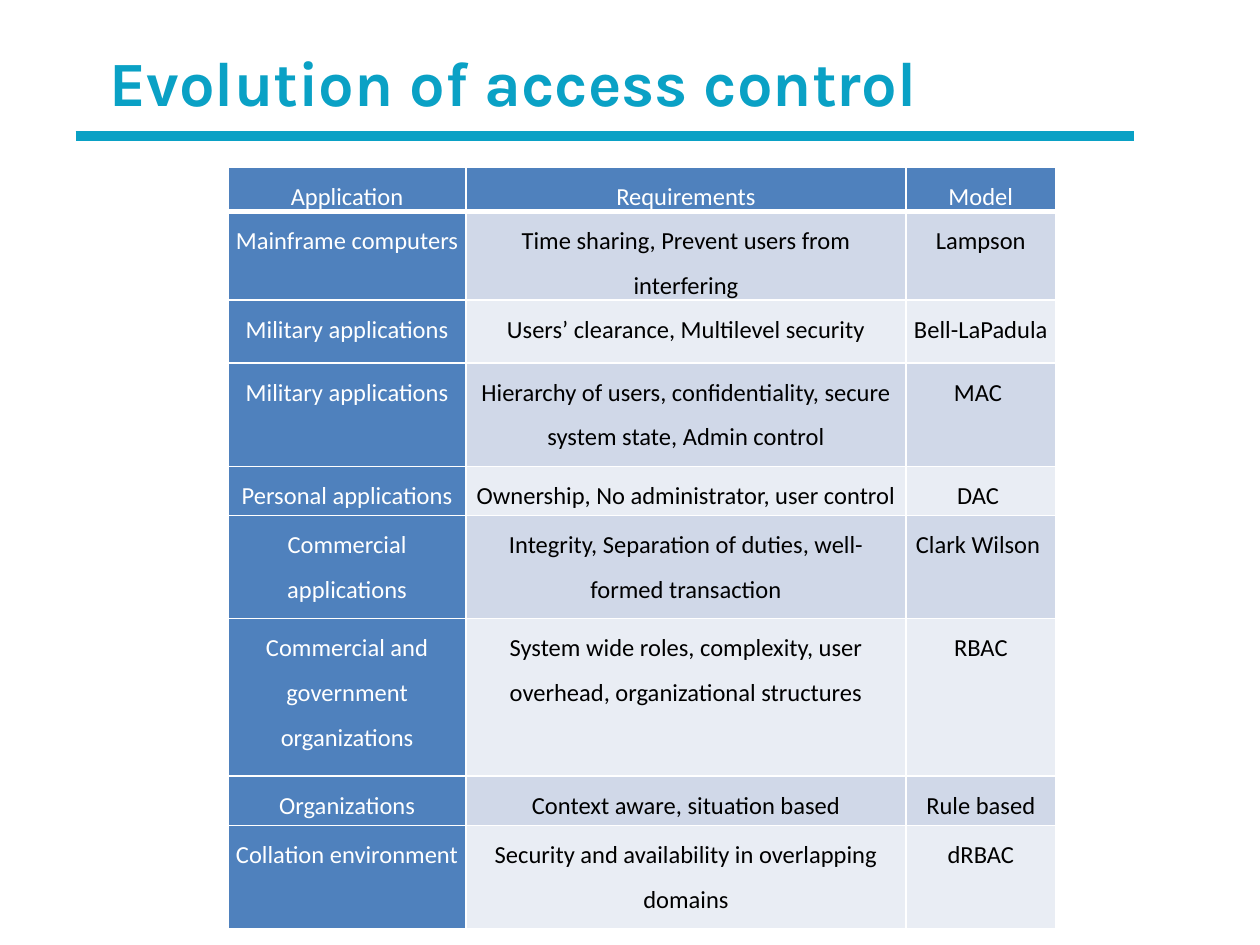
from pptx import Presentation
from pptx.dml.color import RGBColor
from pptx.enum.shapes import MSO_CONNECTOR
from pptx.enum.text import MSO_ANCHOR, PP_ALIGN
from pptx.util import Inches, Pt
from lxml import etree

STRAIGHT = MSO_CONNECTOR.STRAIGHT
MIDDLE = MSO_ANCHOR.MIDDLE
CENTER = PP_ALIGN.CENTER
NS = "http://schemas.openxmlformats.org/drawingml/2006/main"


def rgb(value):
    return RGBColor.from_string(value)


def sub(parent, tag, **attrs):
    return etree.SubElement(parent, f"{{{NS}}}{tag}", **attrs)


class Deck:
    ACCENT = "0AA1C5"
    HEAD = "4F81BD"
    BANDS = ("E9EDF4", "D0D8E8")
    WHITE = "FFFFFF"
    BLACK = "000000"

    def __init__(self, prs):
        self.s = prs.slides.add_slide(prs.slide_layouts[6])

    def style(self, p, text, font, size, color, bold=False):
        p.text = text
        p.font.name = font
        p.font.size = Pt(size)
        p.font.bold = bold
        p.font.color.rgb = rgb(color)

    def rule(self, x1, x2, y, width):
        line = self.s.shapes.add_connector(
            STRAIGHT, Inches(x1), Inches(y), Inches(x2), Inches(y))
        line.line.color.rgb = rgb(self.ACCENT)
        line.line.width = Pt(width)
        sub(line._element.spPr, "effectLst")

    def title(self, text, x, y, w, h):
        sp = self.s.shapes.add_textbox(Inches(x), Inches(y), Inches(w), Inches(h))
        tf = sp.text_frame
        tf.word_wrap = True
        tf.vertical_anchor = MIDDLE
        tf.margin_left = Inches(0.2)
        self.style(tf.paragraphs[0], text, "Karla", 36, self.ACCENT, True)

    def borders(self, cell, bottom):
        tcPr = cell._tc.get_or_add_tcPr()
        for side, width in (("lnL", 1), ("lnR", 1), ("lnT", 1), ("lnB", bottom)):
            ln = sub(tcPr, side, w=str(Pt(width)))
            sub(sub(ln, "solidFill"), "srgbClr", val=self.WHITE)

    def cell(self, cell, text, row, col):
        head = row == 0 or col == 0
        cell.margin_left = cell.margin_right = Inches(0.06)
        cell.margin_top = cell.margin_bottom = 0
        self.borders(cell, 3 if row == 0 else 1)
        cell.fill.solid()
        cell.fill.fore_color.rgb = rgb(self.HEAD if head else self.BANDS[row % 2])
        p = cell.text_frame.paragraphs[0]
        p.alignment = CENTER
        p.line_spacing = 1.5
        self.style(p, text, "Calibri", 14, self.WHITE if head else self.BLACK)

    def table(self, rows, x, y, widths, heights):
        frame = self.s.shapes.add_table(
            len(rows), len(widths), Inches(x), Inches(y),
            Inches(sum(widths)), Inches(sum(heights)))
        table = frame.table
        for column, width in zip(table.columns, widths):
            column.width = Inches(width)
        for r, (values, height) in enumerate(zip(rows, heights)):
            table.rows[r].height = Inches(height)
            for c, text in enumerate(values):
                self.cell(table.cell(r, c), text, r, c)


MODELS = [
    ("Application", "Requirements", "Model"),
    ("Mainframe computers", "Time sharing, Prevent users from interfering", "Lampson"),
    ("Military applications", "Users’ clearance, Multilevel security", "Bell-LaPadula "),
    ("Military applications",
     "Hierarchy of users, confidentiality, secure system state, Admin control", "MAC "),
    ("Personal applications", "Ownership, No administrator, user control", "DAC "),
    ("Commercial applications",
     "Integrity, Separation of duties, well-formed transaction", "Clark Wilson "),
    ("Commercial and government organizations",
     "System wide roles, complexity, user overhead, organizational structures", "RBAC"),
    ("Organizations", "Context aware, situation based", "Rule based"),
    ("Collation environment ", "Security and availability in overlapping domains", "dRBAC"),
]

prs = Presentation()
prs.slide_width = Inches(10)
prs.slide_height = Inches(7.5)
deck = Deck(prs)
deck.rule(0.6, 9, 1.08, 5.5)
deck.title("Evolution of access control", 0.67, 0.17, 9.17, 0.95)
deck.table(MODELS, 1.81, 1.33, (1.89, 3.49, 1.19),
           (0.35, 0.7, 0.5, 0.82, 0.39, 0.82, 1.25, 0.39, 0.82))
prs.save("out.pptx")
